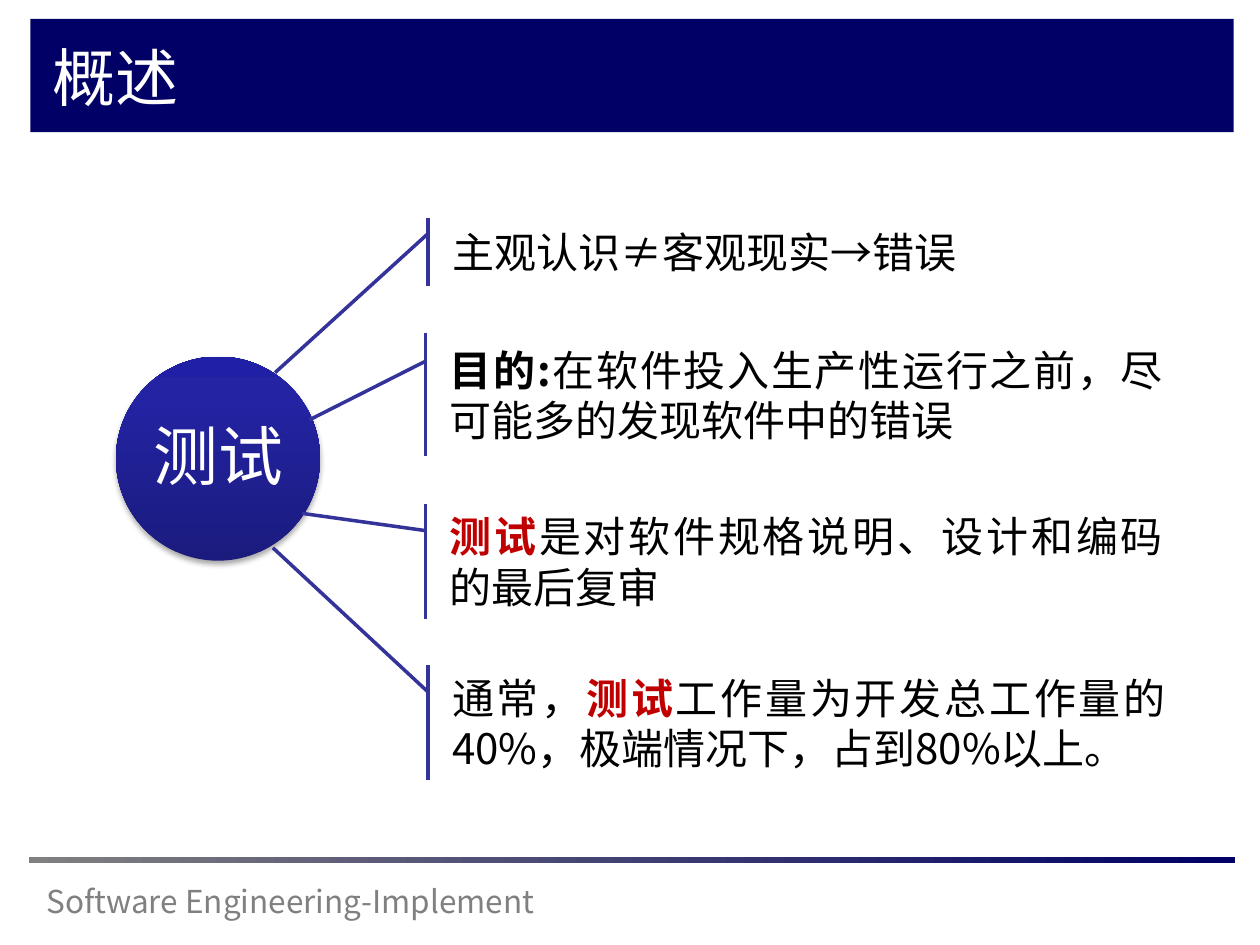
"""Build the software testing overview slide."""
from copy import deepcopy
from dataclasses import dataclass

from lxml import etree
from pptx import Presentation
from pptx.dml.color import RGBColor
from pptx.enum.shapes import MSO_SHAPE
from pptx.enum.text import MSO_ANCHOR, PP_ALIGN
from pptx.oxml import parse_xml
from pptx.oxml.ns import nsdecls, qn
from pptx.util import Inches, Pt

RECTANGLE, OVAL = MSO_SHAPE.RECTANGLE, MSO_SHAPE.OVAL
CALLOUT = MSO_SHAPE.LINE_CALLOUT_1_ACCENT_BAR
TOP, MIDDLE = MSO_ANCHOR.TOP, MSO_ANCHOR.MIDDLE
LEFT, CENTER, JUSTIFY = PP_ALIGN.LEFT, PP_ALIGN.CENTER, PP_ALIGN.JUSTIFY


@dataclass(frozen=True)
class Theme:
    font: str = "Noto Sans CJK SC"
    navy: RGBColor = RGBColor(0x00, 0x00, 0x66)
    line: RGBColor = RGBColor(0x33, 0x33, 0x99)
    gray: RGBColor = RGBColor(0x80, 0x80, 0x80)
    white: RGBColor = RGBColor(0xFF, 0xFF, 0xFF)
    black: RGBColor = RGBColor(0x00, 0x00, 0x00)
    red: RGBColor = RGBColor(0xC0, 0x00, 0x00)
    hub_dark: RGBColor = RGBColor(0x1B, 0x1B, 0x7E)
    hub_mid: RGBColor = RGBColor(0x23, 0x23, 0xA3)
    hub_light: RGBColor = RGBColor(0x20, 0x20, 0xA6)
    title_size: Pt = Pt(36)
    hub_size: Pt = Pt(37)
    body_size: Pt = Pt(24)
    footer_size: Pt = Pt(18)


theme = Theme()


def write_text(shape, runs, size, color, align=LEFT, anchor=TOP):
    frame = shape.text_frame
    frame.word_wrap = True
    frame.vertical_anchor = anchor
    paragraph = frame.paragraphs[0]
    paragraph.alignment = align
    paragraph.font.size = size
    paragraph.font.name = theme.font
    paragraph.font.color.rgb = color
    properties = paragraph._p.pPr.find(qn("a:defRPr"))
    etree.SubElement(properties, qn("a:ea"), typeface=theme.font)
    for text, bold, run_color in runs:
        run = paragraph.add_run()
        run.text = text
        if bold:
            run.font.bold = True
        if run_color != color:
            run.font.color.rgb = run_color
    return paragraph


def set_gradient(shape, stops, angle):
    shape.fill.gradient()
    shape.fill.gradient_angle = angle
    stop_list = shape._element.spPr.find(".//" + qn("a:gsLst"))
    while len(stop_list) < len(stops):
        stop_list.append(deepcopy(stop_list[-1]))
    for stop, (position, color) in zip(shape.fill.gradient_stops, stops):
        stop.position = position
        stop.color.rgb = color
    shape.line.fill.background()


presentation = Presentation()
presentation.slide_width = Inches(10)
presentation.slide_height = Inches(7.5)
slide = presentation.slides.add_slide(presentation.slide_layouts[6])
shapes = slide.shapes

title_bar = shapes.add_shape(RECTANGLE, Inches(0.24), Inches(0.15), Inches(9.55), Inches(0.9))
title_bar.shadow.inherit = False
title_bar.fill.solid()
title_bar.fill.fore_color.rgb = theme.navy
title_bar.line.fill.background()

footer = shapes.add_textbox(Inches(0.27), Inches(6.95), Inches(5.17), Inches(0.4))
write_text(footer, [("Software Engineering-Implement", False, theme.gray)], theme.footer_size, theme.gray)

footer_rule = shapes.add_shape(RECTANGLE, Inches(0.23), Inches(6.8), Inches(9.57), Inches(0.05))
footer_rule.shadow.inherit = False
set_gradient(footer_rule, [(0, theme.gray), (1, theme.navy)], 0)

title = shapes.add_textbox(Inches(0.32), Inches(0.26), Inches(8.81), Inches(0.74))
write_text(title, [("概述", False, theme.white)], theme.title_size, theme.white)

hub = shapes.add_shape(OVAL, Inches(0.92), Inches(2.83), Inches(1.62), Inches(1.62))
set_gradient(hub, [(0, theme.hub_dark), (0.8, theme.hub_mid), (1, theme.hub_light)], 90)
hub._element.spPr.append(parse_xml(
    f'<a:effectLst {nsdecls("a")}>'
    '<a:outerShdw blurRad="40000" dist="23000" dir="5400000" rotWithShape="0">'
    f'<a:srgbClr val="{theme.black}"><a:alpha val="35000"/></a:srgbClr>'
    '</a:outerShdw></a:effectLst>'
))

hub_label = shapes.add_textbox(Inches(1.16), Inches(3.07), Inches(1.15), Inches(1.15))
label_frame = hub_label.text_frame
label_frame.margin_left = label_frame.margin_right = Inches(0.05)
label_frame.margin_top = label_frame.margin_bottom = Inches(0.05)
label_paragraph = write_text(
    hub_label, [("测试", False, theme.white)], theme.hub_size, theme.white, CENTER, MIDDLE
)
label_paragraph.line_spacing = 0.9

callouts = [
    (3.49, 1.73, 0.54, 2.274, -0.223, [("主观认识≠客观现实→错误", False, theme.black)]),
    (3.47, 2.64, 0.98, 0.706, -0.173, [
        ("目的:", True, theme.black),
        ("在软件投入生产性运行之前，尽可能多的发现软件中的错误", False, theme.black),
    ]),
    (3.47, 4, 0.91, 0.082, -0.183, [
        ("测试", True, theme.red),
        ("是对软件规格说明、设计和编码的最后复审", False, theme.black),
    ]),
    (3.49, 5.28, 0.91, -1.025, -0.226, [
        ("通常，", False, theme.black),
        ("测试", True, theme.red),
        ("工作量为开发总工作量的40%，极端情况下，占到80%以上。", False, theme.black),
    ]),
]
for left, top, height, tip_y, tip_x, runs in callouts:
    callout = shapes.add_shape(CALLOUT, Inches(left), Inches(top), Inches(5.86), Inches(height))
    callout.shadow.inherit = False
    callout.fill.solid()
    callout.fill.fore_color.rgb = theme.white
    callout.line.color.rgb = theme.line
    callout.line.width = Pt(2)
    for index, value in enumerate((0.232, -0.016, tip_y, tip_x)):
        callout.adjustments[index] = value
    write_text(callout, runs, theme.body_size, theme.black, JUSTIFY, MIDDLE)

presentation.save("out.pptx")
